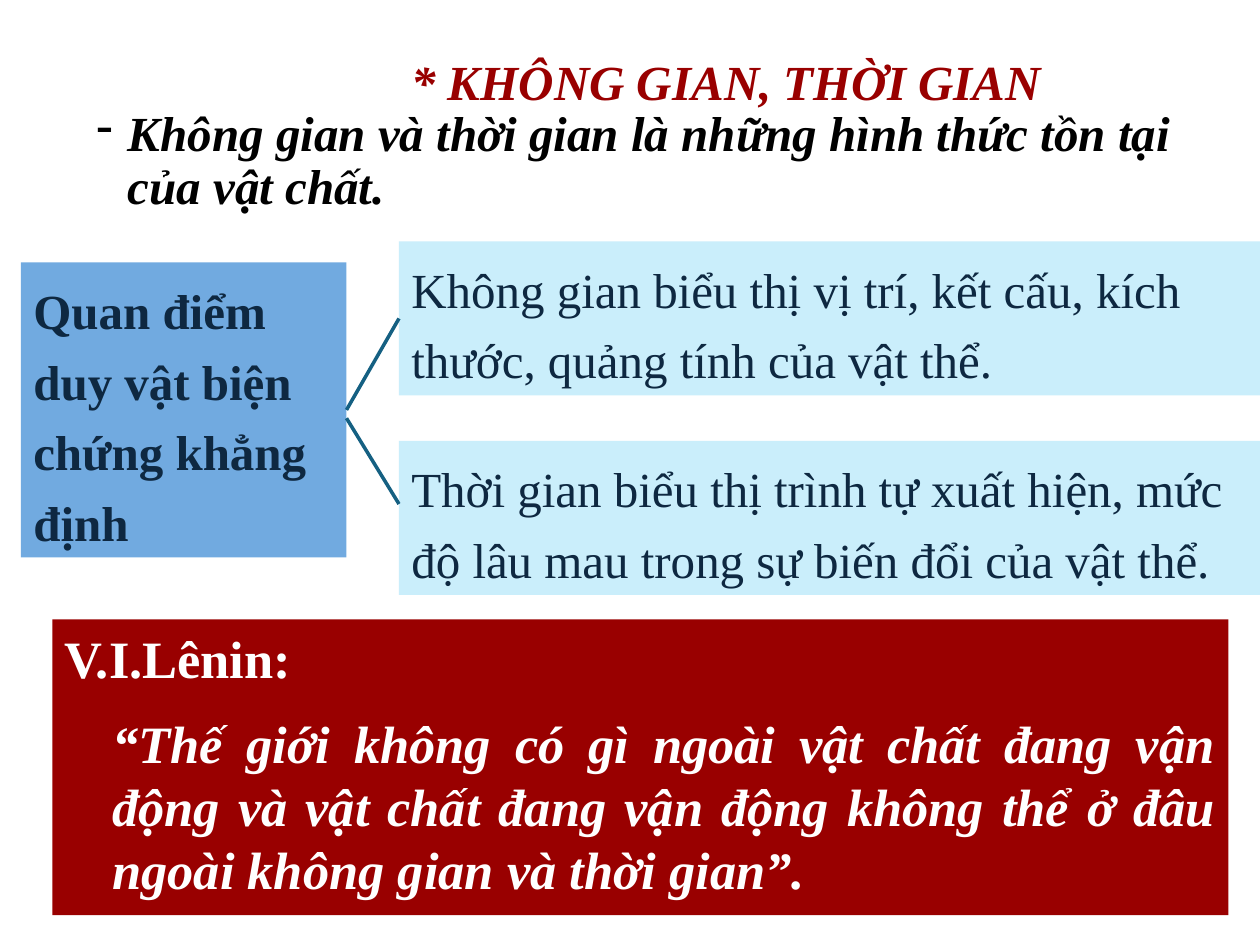
from pptx import Presentation
from pptx.dml.color import RGBColor
from pptx.enum.shapes import MSO_CONNECTOR as Connector, MSO_SHAPE as Shape
from pptx.enum.text import MSO_ANCHOR as Anchor, PP_ALIGN as Align
from pptx.oxml.ns import qn
from pptx.util import Pt
from lxml.etree import SubElement

COLORS = {
    "black": "000000",
    "white": "FFFFFF",
    "red": "990000",
    "navy": "0E2841",
    "blue": "71AAE0",
    "pale": "CAEEFB",
    "line": "156082",
}
FONT = "Times New Roman"


def color(name):
    return RGBColor.from_string(COLORS[name])


def add_frame(slide, box, fill=None):
    lengths = [Pt(value) for value in box]
    if fill:
        shape = slide.shapes.add_shape(Shape.RECTANGLE, *lengths)
        shape.shadow.inherit = False
        shape.fill.solid()
        shape.fill.fore_color.rgb = color(fill)
        shape.line.fill.background()
    else:
        shape = slide.shapes.add_textbox(*lengths)
    shape.text_frame.word_wrap = True
    shape.text_frame.vertical_anchor = Anchor.TOP
    return shape


def write(paragraph, text, size=28, ink="navy", bold=False, italic=False,
          align=Align.LEFT, spacing=1.0, before=0, after=0,
          margin=0, indent=0, bullet=None):
    paragraph.alignment = align
    paragraph.line_spacing = spacing
    paragraph.space_before = Pt(before)
    paragraph.space_after = Pt(after)
    properties = paragraph._p.get_or_add_pPr()
    properties.set("marL", str(Pt(margin)))
    properties.set("indent", str(Pt(indent)))
    if bullet:
        SubElement(properties, qn("a:buChar"), char=bullet)
    run = paragraph.add_run()
    run.text = text
    font = run.font
    font.name = FONT
    font.size = Pt(size)
    font.bold = bold
    font.italic = italic
    font.color.rgb = color(ink)


def add_text(slide, box, text, fill=None, **text_format):
    shape = add_frame(slide, box, fill)
    write(shape.text_frame.paragraphs[0], text, **text_format)
    return shape


def add_line(slide, start, end):
    line = slide.shapes.add_connector(
        Connector.STRAIGHT, *[Pt(value) for value in (*start, *end)])
    line.line.color.rgb = color("line")
    line.line.width = Pt(2)
    SubElement(line._element.spPr, qn("a:effectLst"))
    return line


def add_heading(slide, box):
    left, top, width, height = box
    add_text(slide, (left, top + 33, width, height - 33),
             "Không gian và thời gian là những hình thức tồn tại của vật chất.",
             ink="black", bold=True, italic=True, spacing=0.9,
             margin=18, indent=-18, bullet="-")
    add_text(slide, (left + 180, top, 390, 41), "* KHÔNG GIAN, THỜI GIAN",
             ink="red", bold=True, italic=True)


def add_viewpoint(slide, box):
    left, top, width, height = box
    claim_width, claim_height, gap = 186, 168.5, 30
    fact_height = 88
    fact_left = left + claim_width + gap
    fact_width = width - claim_width - gap
    fact_tops = (top, top + height - fact_height)
    facts = (
        "Không gian biểu thị vị trí, kết cấu, kích thước, quảng tính của vật thể.",
        "Thời gian biểu thị trình tự xuất hiện, mức độ lâu mau trong sự biến đổi của vật thể.",
    )
    claim = add_text(slide, (left, top + 12, claim_width, claim_height),
                     "Quan điểm duy vật biện chứng khẳng định",
                     fill="blue", bold=True, spacing=1.2, after=7)
    space, time = [
        add_text(slide, (fact_left, fact_top, fact_width, fact_height), text,
                 fill="pale", spacing=1.2, after=7)
        for fact_top, text in zip(fact_tops, facts)
    ]
    claim_right = left + claim_width
    space_line = add_line(slide, (claim_right, top + 97), (fact_left, top + 43))
    space_line.begin_connect(claim, 3)
    space_line.end_connect(space, 1)
    add_line(slide, (claim_right, top + 101), (fact_left, top + 150))


def add_quote(slide, box):
    shape = add_text(slide, box, "V.I.Lênin:", fill="red", size=30,
                     ink="white", bold=True, align=Align.JUSTIFY, after=7.5)
    write(shape.text_frame.add_paragraph(),
          "“Thế giới không có gì ngoài vật chất đang vận động và vật chất "
          "đang vận động không thể ở đâu ngoài không gian và thời gian”.",
          size=30, ink="white", bold=True, italic=True, align=Align.JUSTIFY,
          before=5.5, after=5.5, margin=27)


def main():
    presentation = Presentation()
    presentation.slide_width = Pt(720)
    presentation.slide_height = Pt(540)
    slide = presentation.slides.add_slide(presentation.slide_layouts[6])
    add_heading(slide, (48, 26, 648, 111))
    add_viewpoint(slide, (12, 138, 708, 202))
    add_quote(slide, (30, 354, 672, 169))
    presentation.save("out.pptx")


if __name__ == "__main__":
    main()
